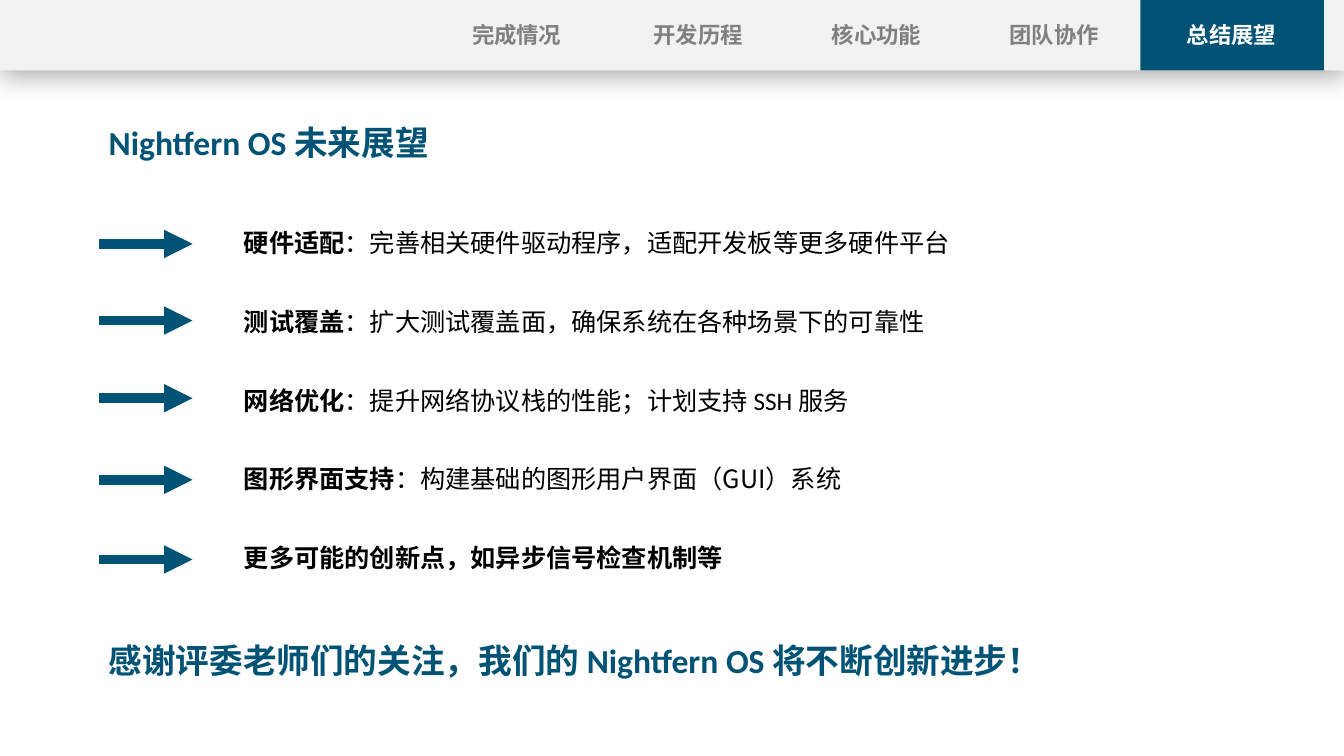
import pptx
import pptx.dml.color
import pptx.enum.shapes
import pptx.enum.text
import pptx.oxml
import pptx.oxml.ns
import pptx.util
from lxml import etree

Inches = pptx.util.Inches
Align = pptx.enum.text.PP_ALIGN
CJK = "Noto Sans CJK SC"
LATIN = "Calibri"
BLUE, GRAY, PALE, BLACK, WHITE = "005375", "808080", "F2F2F2", "000000", "FFFFFF"


def color(value):
    return pptx.dml.color.RGBColor.from_string(value)


def add_xml(parent, tag, **attributes):
    return etree.SubElement(parent, pptx.oxml.ns.qn(tag), attributes)


class SlideBuilder:
    def __init__(self, slide):
        self.slide = slide

    def bar(self, left, width, height, fill, shadow=False):
        shape = self.slide.shapes.add_shape(
            pptx.enum.shapes.MSO_SHAPE.RECTANGLE,
            Inches(left), 0, Inches(width), Inches(height))
        shape.fill.solid()
        shape.fill.fore_color.rgb = color(fill)
        shape.line.fill.background()
        shape.shadow.inherit = False
        if shadow:
            effects = shape._element.spPr.find(pptx.oxml.ns.qn("a:effectLst"))
            outer = add_xml(effects, "a:outerShdw", blurRad=str(pptx.util.Pt(18)),
                            dist=str(pptx.util.Pt(4)), dir="5400000",
                            algn="t", rotWithShape="0")
            tint = add_xml(outer, "a:srgbClr", val=BLACK)
            add_xml(tint, "a:alpha", val="29000")

    def text(self, left, top, width, height, runs, size, ink,
             align=Align.LEFT, side_inset=0.1):
        """Each run is (text, font name, bold)."""
        box = self.slide.shapes.add_textbox(
            Inches(left), Inches(top), Inches(width), Inches(height))
        frame = box.text_frame
        frame_format = {"word_wrap": True,
                        "margin_left": Inches(side_inset),
                        "margin_right": Inches(side_inset)}
        for name, value in frame_format.items():
            setattr(frame, name, value)
        paragraph = frame.paragraphs[0]
        paragraph.alignment = align
        for words, font_name, bold in runs:
            run = paragraph.add_run()
            run.text = words
            font_format = {"name": font_name, "size": pptx.util.Pt(size), "bold": bold}
            for name, value in font_format.items():
                setattr(run.font, name, value)
            run.font.color.rgb = color(ink)
            add_xml(run.font._element, "a:ea", typeface=CJK)

    def arrow(self, left, right, y):
        connector = self.slide.shapes.add_connector(
            pptx.enum.shapes.MSO_CONNECTOR.STRAIGHT,
            Inches(left), Inches(y), Inches(right), Inches(y))
        connector.line.color.rgb = color(BLUE)
        connector.line.width = pptx.util.Pt(6.75)
        properties = connector._element.spPr
        add_xml(properties.find(pptx.oxml.ns.qn("a:ln")), "a:tailEnd", type="triangle")
        add_xml(properties, "a:effectLst")


def main():
    presentation = pptx.Presentation()
    presentation.slide_width = Inches(13.33)
    presentation.slide_height = Inches(7.5)
    builder = SlideBuilder(presentation.slides.add_slide(presentation.slide_layouts[6]))

    # Navigation bar, with the current section highlighted
    builder.bar(0, 13.33, 0.7, PALE, shadow=True)
    builder.bar(11.31, 1.82, 0.7, BLUE)
    tabs = [("完成情况", 4.39), ("开发历程", 6.19), ("核心功能", 7.96),
            ("团队协作", 9.72), ("总结展望", 11.48)]
    for label, left in tabs:
        ink = WHITE if label == "总结展望" else GRAY
        builder.text(left, 0.16, 1.47, 0.38, [(label, CJK, True)], 16, ink,
                     Align.CENTER, side_inset=0)

    # Heading and closing line
    builder.text(0.98, 1.16, 6.49, 0.48,
                 [("Nightfern OS 未来展望", LATIN, True)], 24, BLUE)
    builder.text(0.98, 6.3, 10.03, 0.48,
                 [("感谢评委老师们的关注，我们的 Nightfern OS 将不断创新进步！", LATIN, True)],
                 24, BLUE)

    # Plans: arrow height, bold topic, then the details
    plans = [
        (2.42, "硬件适配", [("：完善相关硬件驱动程序，适配开发板等更多硬件平台", CJK)]),
        (3.18, "测试覆盖", [("：", CJK),
                        ("扩大测试覆盖面，确保系统在各种场景下的可靠性", LATIN)]),
        (3.95, "网络优化", [("：", CJK), ("提升网络协议栈的性能", LATIN),
                        ("；", CJK), ("计划支持 SSH 服务", LATIN)]),
        (4.76, "图形界面支持", [("：构建基础的图形用户界面（GUI）系统", CJK)]),
        (5.55, "更多可能的创新点，如异步信号检查机制等", []),
    ]
    for row, (arrow_y, topic, details) in enumerate(plans):
        builder.arrow(0.98, 1.91, arrow_y)
        runs = [(topic, CJK, True)] + [(words, font, False) for words, font in details]
        builder.text(2.32, 2.21 + 0.78 * row, 7.91, 0.4, runs, 18, BLACK)

    presentation.save("out.pptx")


if __name__ == "__main__":
    main()
